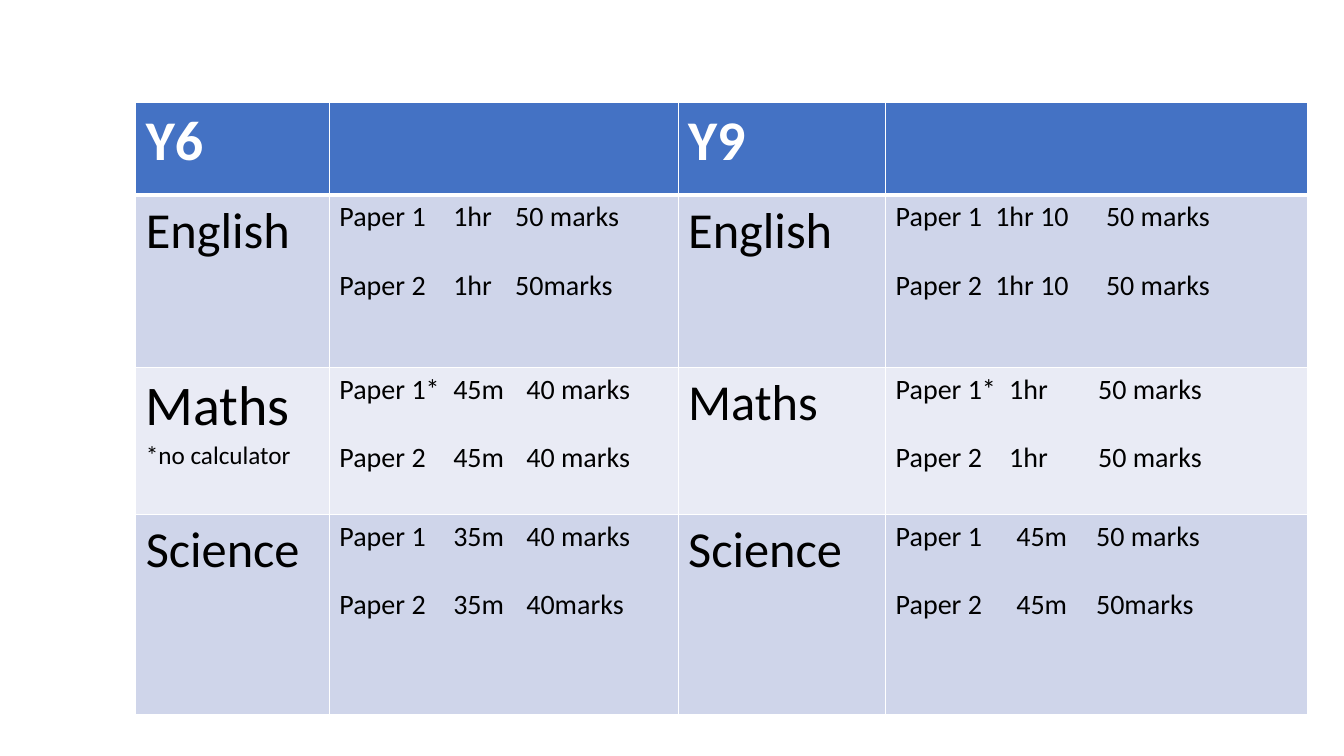
from lxml.etree import SubElement
from pptx import Presentation
from pptx.dml.color import RGBColor
from pptx.oxml.ns import qn
from pptx.util import Cm, Pt

HEADER_FILL, DARK_BAND, LIGHT_BAND = "4472C4", "CFD5EA", "E9EBF5"
WHITE, BLACK = "FFFFFF", "000000"
COLUMN_WIDTHS = [4.88, 8.79, 5.23, 10.64]
ROW_HEIGHTS = [2.34, 4.34, 3.71, 5.03]

# Each cell lists its paragraphs as (text, size).
ROWS = [
    [[("Y6", 40)], [], [("Y9", 40)], []],
    [[("English", 36)],
     [("Paper 1\t1hr\t50 marks", 20), ("Paper 2\t1hr\t50marks", 20)],
     [("English", 36)],
     [("Paper 1\t1hr 10\t50 marks", 20), ("Paper 2\t1hr 10\t50 marks", 20)]],
    [[("Maths", 40), ("*no calculator", 18)],
     [("Paper 1*\t45m\t40 marks", 20), ("Paper 2\t45m\t40 marks", 20)],
     [("Maths", 36)],
     [("Paper 1*\t1hr\t50 marks", 20), ("Paper 2\t1hr\t50 marks", 20)]],
    [[("Science", 36)],
     [("Paper 1\t35m\t40 marks", 20), ("Paper 2\t35m\t40marks", 20)],
     [("Science", 36)],
     [("Paper 1\t45m\t50 marks", 20), ("Paper 2\t45m\t50marks", 20)]],
]
# Where the duration and the marks start, by (row, column).
TAB_STOPS = {
    (1, 1): (2.87, 4.43), (1, 3): (2.51, 5.3),
    (2, 1): (2.87, 4.71), (2, 3): (2.86, 5.1),
    (3, 1): (2.87, 4.71), (3, 3): (3.04, 5.05),
}


def rgb(value):
    return RGBColor.from_string(value)


def add_borders(cell, bottom_width):
    """Draw white lines of 1 pt round the cell, with its own bottom width."""
    properties = cell._tc.get_or_add_tcPr()
    for side, width in (("L", 1), ("R", 1), ("T", 1), ("B", bottom_width)):
        line = SubElement(properties, qn(f"a:ln{side}"), w=str(Pt(width)))
        SubElement(SubElement(line, qn("a:solidFill")), qn("a:srgbClr"), val=WHITE)


presentation = Presentation()
presentation.slide_width, presentation.slide_height = Cm(33.87), Cm(19.05)
slide = presentation.slides.add_slide(presentation.slide_layouts[6])

table = slide.shapes.add_table(
    len(ROWS), len(COLUMN_WIDTHS), Cm(3.42), Cm(2.58),
    Cm(sum(COLUMN_WIDTHS)), Cm(sum(ROW_HEIGHTS))).table
for column, width in zip(table.columns, COLUMN_WIDTHS):
    column.width = Cm(width)
for row, height in zip(table.rows, ROW_HEIGHTS):
    row.height = Cm(height)

for row_index, row_content in enumerate(ROWS):
    is_header = row_index == 0
    band = DARK_BAND if row_index % 2 else LIGHT_BAND
    for column_index, lines in enumerate(row_content):
        cell = table.cell(row_index, column_index)
        add_borders(cell, 3 if is_header else 1)
        cell.fill.solid()
        cell.fill.fore_color.rgb = rgb(HEADER_FILL if is_header else band)
        stops = TAB_STOPS.get((row_index, column_index))
        for line_index, (text, size) in enumerate(lines):
            frame = cell.text_frame
            paragraph = frame.add_paragraph() if line_index else frame.paragraphs[0]
            if stops:
                paragraph.space_before = Pt(24.4 * line_index)
                tab_list = SubElement(paragraph._p.get_or_add_pPr(), qn("a:tabLst"))
                for stop in stops:
                    SubElement(tab_list, qn("a:tab"), pos=str(Cm(stop)), algn="l")
            run = paragraph.add_run()
            run.text = text
            run.font.name = "Calibri"
            run.font.size = Pt(size)
            run.font.bold = is_header
            run.font.color.rgb = rgb(WHITE if is_header else BLACK)

presentation.save("out.pptx")
